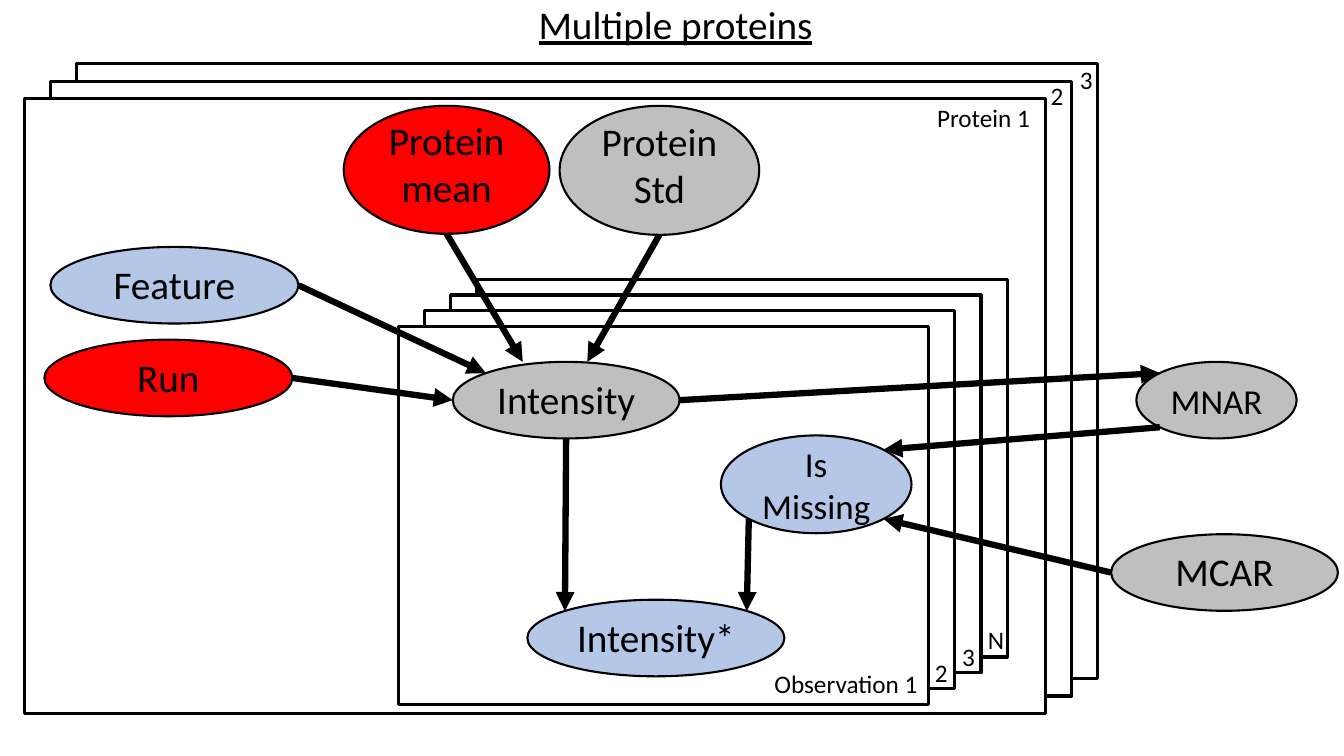
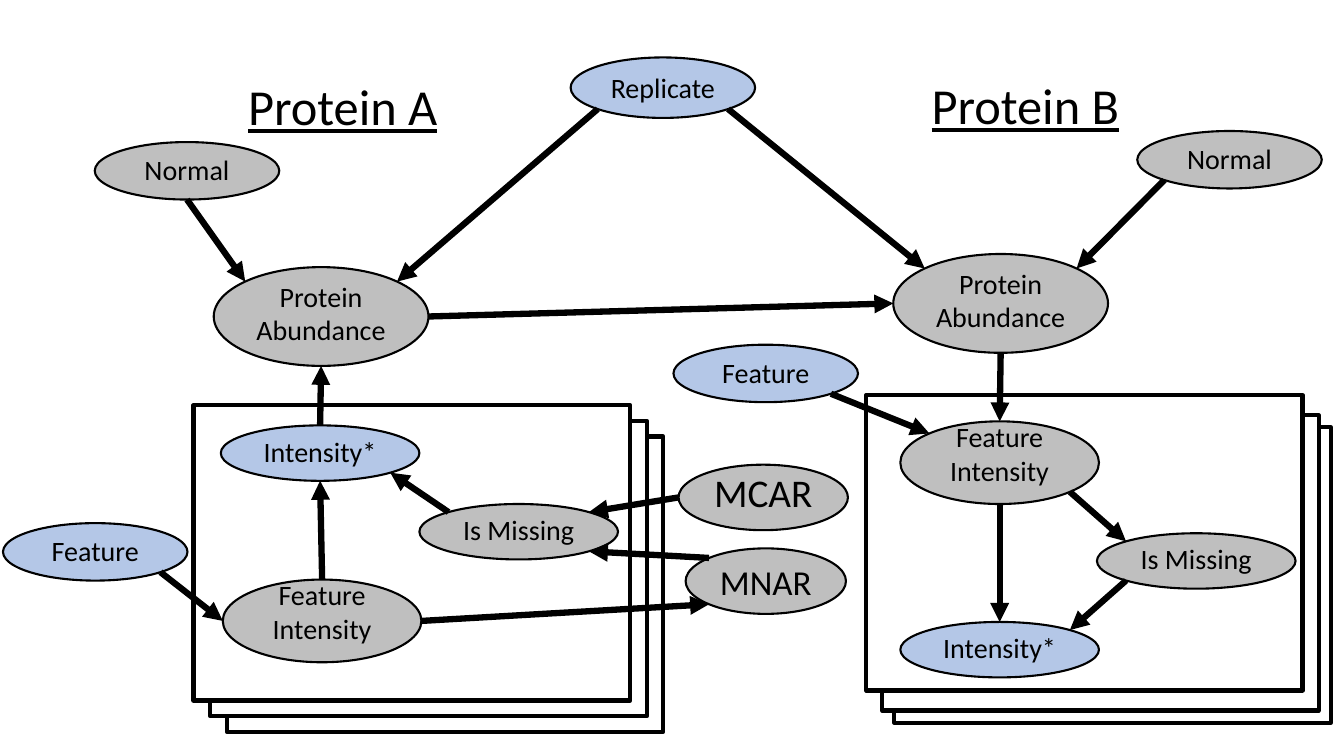
"""Build two slides of protein intensity model diagrams."""
from dataclasses import dataclass
from math import cos, pi, sin

from lxml.etree import SubElement
from pptx import Presentation
from pptx.dml.color import RGBColor
from pptx.enum.shapes import MSO_CONNECTOR, MSO_SHAPE
from pptx.enum.text import MSO_ANCHOR, MSO_AUTO_SIZE, PP_ALIGN
from pptx.oxml.ns import qn
from pptx.shapes.autoshape import Shape
from pptx.slide import Slide
from pptx.text.text import TextFrame
from pptx.util import Inches, Pt

BLACK, WHITE = "000000", "FFFFFF"
BLUE, GRAY, RED = "B4C7E7", "BFBFBF", "FF0000"
FONT = "Calibri"
SITES = {
    name: (cos(i * pi / 4), sin(i * pi / 4))
    for i, name in enumerate(("E", "SE", "S", "SW", "W", "NW", "N", "NE"))
}


@dataclass(frozen=True)
class Stack:
    """Equal frames, each offset from the front one."""
    left: float
    top: float
    width: float
    height: float
    offsets: list[tuple[float, float]]
    line: float


@dataclass(frozen=True)
class Node:
    """Labelled ellipse."""
    text: str
    left: float
    top: float
    width: float
    height: float
    fill: str = GRAY
    size: int = 20
    anchor: MSO_ANCHOR = MSO_ANCHOR.BOTTOM

    def site(self, name: str) -> tuple[float, float]:
        """Return a compass point on the outline."""
        dx, dy = SITES[name]
        return (self.left + self.width / 2 * (1 + dx),
                self.top + self.height / 2 * (1 + dy))


@dataclass(frozen=True)
class Arrow:
    """Arrow between compass points of two nodes."""
    start: str
    start_site: str
    end: str
    end_site: str
    shift: float = 0


@dataclass(frozen=True)
class Label:
    """Free text."""
    text: str
    left: float
    top: float
    width: float
    height: float = 0.4
    size: int = 18
    underline: bool = False


@dataclass(frozen=True)
class Diagram:
    """Everything on one slide."""
    stacks: list[Stack]
    nodes: dict[str, Node]
    arrows: list[Arrow]
    labels: list[Label]


def rgb(value: str) -> RGBColor:
    """Convert a hex string to a colour."""
    return RGBColor.from_string(value)


def steps(count: int, dx: float, dy: float) -> list[tuple[float, float]]:
    """Return evenly growing offsets."""
    return [(i * dx, i * dy) for i in range(count)]


def write(tf: TextFrame, text: str, size: int, underline: bool = False) -> None:
    """Write centred black text."""
    tf.word_wrap = True
    tf.text = text
    for p in tf.paragraphs:
        p.alignment = PP_ALIGN.CENTER
        p.font.name = FONT
        p.font.size = Pt(size)
        p.font.color.rgb = rgb(BLACK)
        if underline:
            p.font.underline = True


def add_outlined(s: Slide, kind: MSO_SHAPE, left: float, top: float, width: float,
                 height: float, fill: str, line: float) -> Shape:
    """Add a filled shape with a black outline."""
    sp = s.shapes.add_shape(kind, Inches(left), Inches(top), Inches(width), Inches(height))
    sp.shadow.inherit = False
    sp.fill.solid()
    sp.fill.fore_color.rgb = rgb(fill)
    sp.line.color.rgb = rgb(BLACK)
    sp.line.width = Pt(line)
    return sp


def add_stack(s: Slide, stack: Stack) -> None:
    """Draw frames from back to front."""
    for dx, dy in reversed(stack.offsets):
        add_outlined(s, MSO_SHAPE.RECTANGLE, stack.left + dx, stack.top + dy,
                     stack.width, stack.height, WHITE, stack.line)


def add_node(s: Slide, node: Node) -> None:
    """Draw a labelled ellipse."""
    sp = add_outlined(s, MSO_SHAPE.OVAL, node.left, node.top, node.width, node.height,
                      node.fill, 1.5)
    sp.text_frame.vertical_anchor = node.anchor
    write(sp.text_frame, node.text, node.size)


def add_arrow(s: Slide, arrow: Arrow, nodes: dict[str, Node]) -> None:
    """Draw a thick arrow from node to node."""
    x1, y1 = nodes[arrow.start].site(arrow.start_site)
    x2, y2 = nodes[arrow.end].site(arrow.end_site)
    cxn = s.shapes.add_connector(MSO_CONNECTOR.STRAIGHT, Inches(x1), Inches(y1),
                                 Inches(x2 + arrow.shift), Inches(y2))
    cxn.line.color.rgb = rgb(BLACK)
    cxn.line.width = Pt(4.5)
    props = cxn.element.spPr
    SubElement(props.find(qn("a:ln")), qn("a:tailEnd"), type="triangle")
    SubElement(props, qn("a:effectLst"))


def add_label(s: Slide, label: Label) -> None:
    """Add a text box."""
    sp = s.shapes.add_textbox(Inches(label.left), Inches(label.top),
                              Inches(label.width), Inches(label.height))
    write(sp.text_frame, label.text, label.size, label.underline)
    sp.text_frame.auto_size = MSO_AUTO_SIZE.SHAPE_TO_FIT_TEXT


def add_diagram(prs: Presentation, diagram: Diagram) -> None:
    """Add a slide holding one diagram."""
    s = prs.slides.add_slide(prs.slide_layouts[6])
    for stack in diagram.stacks:
        add_stack(s, stack)
    for node in diagram.nodes.values():
        add_node(s, node)
    for arrow in diagram.arrows:
        add_arrow(s, arrow, diagram.nodes)
    for label in diagram.labels:
        add_label(s, label)


MULTIPLE_PROTEINS = Diagram(
    stacks=[
        Stack(0.24, 0.98, 10.13, 6.1, steps(3, 0.26, -0.175), 2.25),
        Stack(3.95, 3.24, 5.26, 3.75, steps(4, 0.26, -0.157), 2.25),
    ],
    nodes={
        "feature": Node("Feature", 0.5, 2.45, 2.46, 0.76, BLUE, 28),
        "run": Node("Run", 0.44, 3.37, 2.46, 0.76, RED, 28),
        "intensity": Node("Intensity", 4.49, 3.59, 2.25, 0.76, GRAY, 28),
        "observed": Node("Intensity*", 5.23, 5.95, 2.55, 0.76, BLUE, 28),
        "mnar": Node("MNAR", 11.27, 3.59, 1.59, 0.76, GRAY, 25, MSO_ANCHOR.MIDDLE),
        "mcar": Node("MCAR", 11.02, 5.3, 2.25, 0.76, GRAY, 28),
        "missing": Node("Is Missing", 7.15, 4.32, 1.89, 0.97, BLUE, 25, MSO_ANCHOR.MIDDLE),
        "mean": Node("Protein mean", 3.41, 1.05, 2.04, 1.27, RED, 28),
        "std": Node("Protein Std", 5.55, 1.05, 1.98, 1.28, GRAY, 28),
    },
    arrows=[
        Arrow("mean", "S", "intensity", "N", -0.43),
        Arrow("std", "S", "intensity", "N", 0.21),
        Arrow("feature", "E", "intensity", "NW"),
        Arrow("run", "E", "intensity", "W"),
        Arrow("intensity", "E", "mnar", "NW"),
        Arrow("intensity", "S", "observed", "NW"),
        Arrow("mnar", "SW", "missing", "NE"),
        Arrow("mcar", "W", "missing", "SE"),
        Arrow("missing", "SW", "observed", "NE"),
    ],
    labels=[
        Label("Multiple proteins", 3.8, -0.05, 5.8, 0.57, 28, True),
        Label("Observation 1", 7.53, 6.58, 1.72),
        Label("2", 9.17, 6.47, 0.33),
        Label("3", 9.44, 6.31, 0.33),
        Label("N", 9.7, 6.14, 0.33),
        Label("Protein 1", 9.09, 0.97, 1.33),
        Label("2", 9.82, 0.75, 1.33),
        Label("3", 10.11, 0.59, 1.33),
    ],
)

SMALL, FLAT, TALL, WIDE = (1.83, 0.57), (1.97, 0.55), (1.97, 0.82), (2.13, 0.98)

PROTEIN_PAIR = Diagram(
    stacks=[
        Stack(8.59, 3.92, 4.33, 2.93, [(0, 0), (0.16, 0.2), (0.28, 0.32)], 3),
        Stack(1.92, 4.02, 4.33, 2.93, steps(3, 0.165, 0.155), 3),
    ],
    nodes={
        "replicate": Node("Replicate", 5.66, 0.57, 1.83, 0.6, BLUE),
        "normal A": Node("Normal", 0.94, 1.41, *SMALL),
        "normal B": Node("Normal", 11.28, 1.3, *SMALL),
        "abundance A": Node("Protein\nAbundance", 2.12, 2.65, *WIDE),
        "abundance B": Node("Protein\nAbundance", 8.86, 2.52, *WIDE),
        "feature A": Node("Feature", 0.03, 5.19, *SMALL, BLUE),
        "feature B": Node("Feature", 6.68, 3.42, *SMALL, BLUE),
        "intensity A": Node("Feature\nIntensity", 2.21, 5.75, *TALL),
        "intensity B": Node("Feature\nIntensity", 8.93, 4.18, *TALL),
        "missing A": Node("Is Missing", 4.16, 5, *FLAT),
        "missing B": Node("Is Missing", 10.88, 5.29, *FLAT),
        "observed A": Node("Intensity*", 2.19, 4.22, *FLAT, BLUE),
        "observed B": Node("Intensity*", 8.93, 6.17, *FLAT, BLUE),
        "mnar": Node("MNAR", 6.8, 5.44, 1.59, 0.65, GRAY, 25, MSO_ANCHOR.MIDDLE),
        "mcar": Node("MCAR", 6.73, 4.61, 1.68, 0.65, GRAY, 28),
    },
    arrows=[
        Arrow("replicate", "SW", "abundance A", "NE"),
        Arrow("replicate", "SE", "abundance B", "NW"),
        Arrow("normal A", "S", "abundance A", "NW"),
        Arrow("normal B", "SW", "abundance B", "NE"),
        Arrow("abundance A", "E", "abundance B", "W"),
        Arrow("feature A", "SE", "intensity A", "W"),
        Arrow("intensity A", "N", "observed A", "S"),
        Arrow("intensity A", "E", "mnar", "SW"),
        Arrow("mnar", "NW", "missing A", "SE"),
        Arrow("mcar", "W", "missing A", "NE"),
        Arrow("missing A", "NW", "observed A", "SE"),
        Arrow("observed A", "N", "abundance A", "S"),
        Arrow("abundance B", "S", "intensity B", "N"),
        Arrow("feature B", "SE", "intensity B", "NW"),
        Arrow("intensity B", "S", "observed B", "N"),
        Arrow("intensity B", "SE", "missing B", "NW"),
        Arrow("missing B", "SW", "observed B", "NE"),
    ],
    labels=[
        Label("Protein A", 1.9, 0.7, 3, 0.71, 36, True),
        Label("Protein B", 8.67, 0.69, 3, 0.71, 36, True),
    ],
)


def main() -> None:
    """Build and save the presentation."""
    prs = Presentation()
    prs.slide_width, prs.slide_height = Inches(13.33), Inches(7.5)
    for diagram in (MULTIPLE_PROTEINS, PROTEIN_PAIR):
        add_diagram(prs, diagram)
    prs.save("out.pptx")


main()
